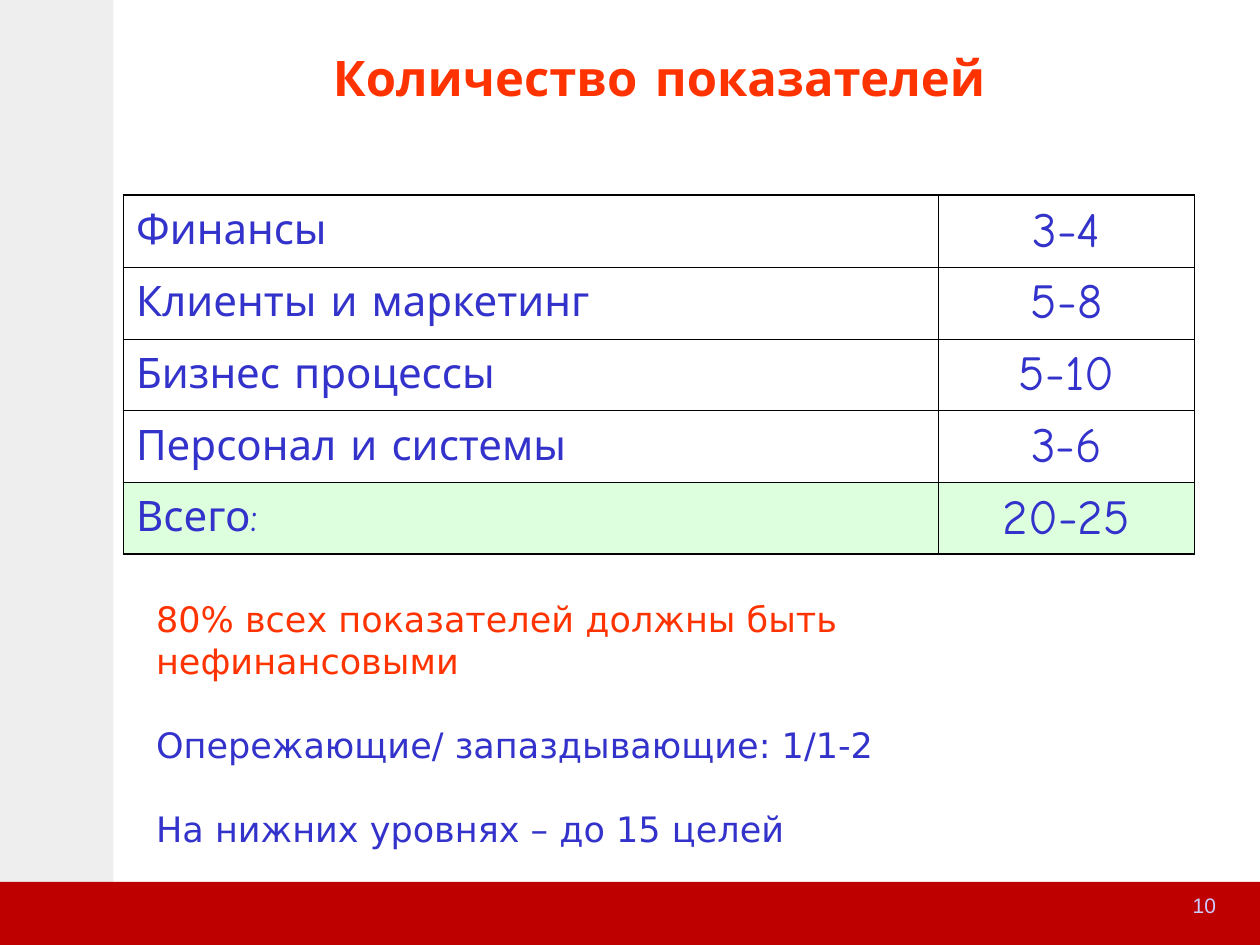
from lxml import etree
from pptx import Presentation
from pptx import util as u
from pptx.dml.color import RGBColor
from pptx.enum import shapes, text
from pptx.oxml.ns import qn

RED, BLUE, GREEN, BLACK = "FF3300", "3333CC", "DDFFDD", "000000"
TITLE = "Количество показателей"
ROWS = [
    ("Финансы", "3-4"),
    ("Клиенты и маркетинг", "5-8"),
    ("Бизнес процессы", "5-10"),
    ("Персонал и системы", "3-6"),
    ("Всего:", "20-25"),
]
NOTES = [
    ("80% всех показателей должны быть нефинансовыми", RED),
    ("Опережающие/ запаздывающие: 1/1-2", BLUE),
    ("На нижних уровнях – до 15 целей", BLUE),
]
BANDS = [((0, 0, 0.9, 7), "EEEEEE"), ((0, 7, 10, 0.5), "BF0000")]
COLUMNS = [6.47, 2.03]
ROW_HEIGHT = 0.57
THIN, THICK = 0.45, 1.08


def rgb(value):
    """Return a colour from a hex string."""
    return RGBColor.from_string(value)


def box(values):
    """Turn inches into lengths."""
    return [u.Inches(v) for v in values]


def write(p, content, size, color, font="Comic Neue", bold=False, align="LEFT", before=0):
    """Write formatted text into a paragraph."""
    p.alignment = getattr(text.PP_ALIGN, align)
    p.space_before = u.Pt(before)
    r = p.add_run()
    r.text = content
    r.font.size, r.font.name, r.font.bold = u.Pt(size), font, bold
    r.font.color.rgb = rgb(color)


def set_borders(cell, widths):
    """Draw the left, right, top and bottom borders of a cell."""
    tc_pr = cell._tc.get_or_add_tcPr()
    for i, (side, width) in enumerate(zip("LRTB", widths)):
        ln = etree.Element(qn(f"a:ln{side}"), w=str(u.Pt(width)))
        fill = etree.SubElement(ln, qn("a:solidFill"))
        etree.SubElement(fill, qn("a:srgbClr"), val=BLACK)
        tc_pr.insert(i, ln)


def add_indicator_table(s):
    """Add the table of indicator counts with its total row."""
    last = len(ROWS) - 1
    size = (0.98, 1.55, sum(COLUMNS), ROW_HEIGHT * len(ROWS))
    table = s.shapes.add_table(len(ROWS), len(COLUMNS), *box(size)).table
    table.first_row = table.horz_banding = False
    for column, width in zip(table.columns, COLUMNS):
        column.width = u.Inches(width)
    for i, row in enumerate(ROWS):
        table.rows[i].height = u.Inches(ROW_HEIGHT)
        for j, content in enumerate(row):
            cell = table.cell(i, j)
            cell.vertical_anchor = text.MSO_ANCHOR.MIDDLE
            if i == last:
                cell.fill.solid()
                cell.fill.fore_color.rgb = rgb(GREEN)
            else:
                cell.fill.background()
            thick = (j == 0, j == 1, i in (0, last), i >= last - 1)
            set_borders(cell, [THICK if t else THIN for t in thick])
            style = dict(size=28, align="CENTER", before=7) if j else dict(size=24, before=6)
            write(cell.text_frame.paragraphs[0], content, color=BLUE, **style)


def main():
    """Build the slide."""
    prs = Presentation()
    prs.slide_width, prs.slide_height = box((10, 7.5))
    s = prs.slides.add_slide(prs.slide_layouts[5])

    for place, color in BANDS:
        sp = s.shapes.add_shape(shapes.MSO_SHAPE.RECTANGLE, *box(place))
        sp.shadow.inherit = False
        sp.fill.solid()
        sp.fill.fore_color.rgb = rgb(color)
        sp.line.fill.background()

    title = s.shapes.title
    title.left, title.top, title.width, title.height = box((0.98, 0.21, 8.5, 1.25))
    tf = title.text_frame
    tf.vertical_anchor = text.MSO_ANCHOR.MIDDLE
    tf.margin_bottom = u.Inches(0.5)
    write(tf.paragraphs[0], TITLE, 28, RED, bold=True, align="CENTER")

    add_indicator_table(s)

    tf = s.shapes.add_textbox(*box((1.14, 4.69, 7.95, 1.77))).text_frame
    tf.word_wrap = True
    for i, (content, color) in enumerate(NOTES):
        p = tf.add_paragraph() if i else tf.paragraphs[0]
        write(p, content, 20, color, font="DejaVu Sans", before=24 if i else 0)

    tf = s.shapes.add_textbox(*box((9.05, 6.83, 0.7, 0.5))).text_frame
    tf.word_wrap = True
    tf.vertical_anchor = text.MSO_ANCHOR.BOTTOM
    write(tf.paragraphs[0], "10", 12, "CCCCFF", font="Arial", align="RIGHT")

    prs.save("out.pptx")


if __name__ == "__main__":
    main()
